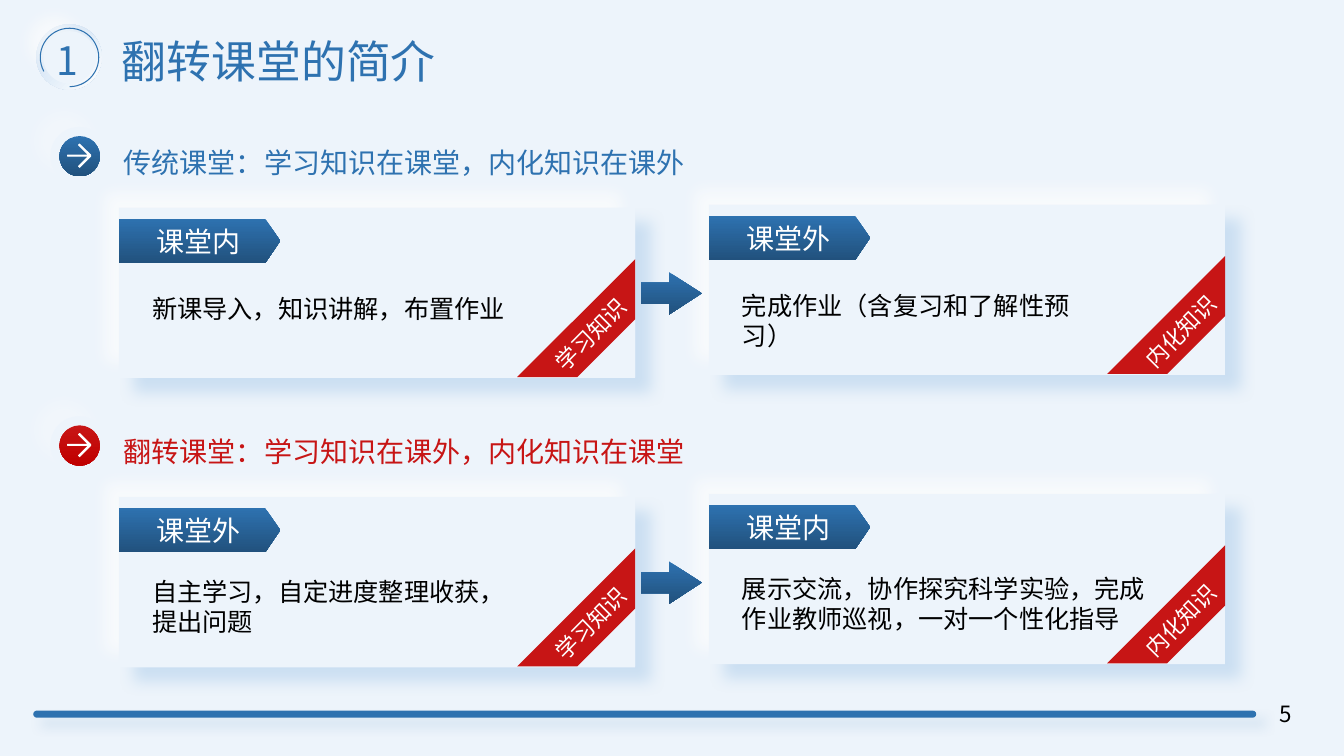
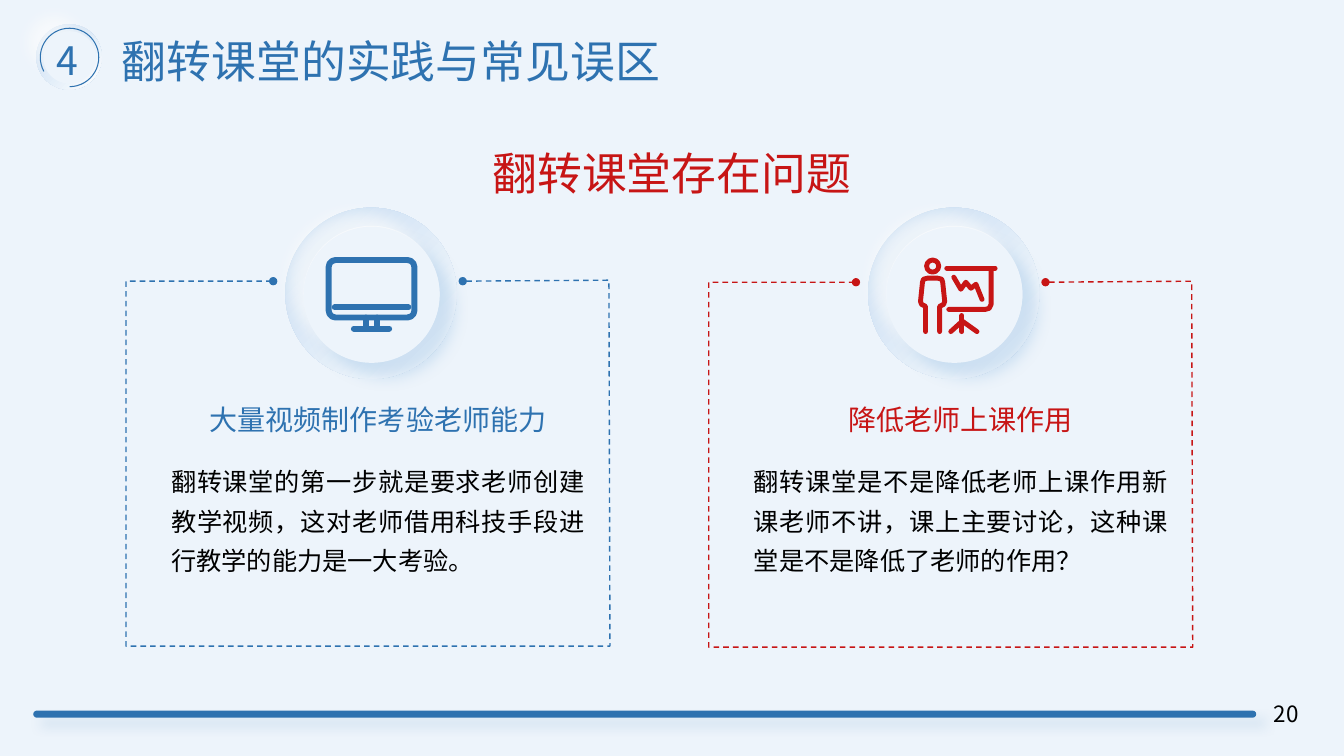
from lxml import etree
from pptx import Presentation
from pptx.dml.color import RGBColor
from pptx.enum.dml import MSO_LINE
from pptx.enum.shapes import MSO_CONNECTOR, MSO_SHAPE
from pptx.enum.text import MSO_ANCHOR, MSO_AUTO_SIZE, PP_ALIGN
from pptx.oxml.ns import qn
from pptx.util import Inches, Pt

LEFT, MID, JUST = PP_ALIGN.LEFT, PP_ALIGN.CENTER, PP_ALIGN.JUSTIFY
RECT, ROUND, OVAL = MSO_SHAPE.RECTANGLE, MSO_SHAPE.ROUNDED_RECTANGLE, MSO_SHAPE.OVAL
ARC, PLATE = MSO_SHAPE.ARC, MSO_SHAPE.PENTAGON
STRIPE, ARROW = MSO_SHAPE.DIAGONAL_STRIPE, MSO_SHAPE.RIGHT_ARROW
TOP, FIXED = MSO_ANCHOR.TOP, MSO_AUTO_SIZE.NONE
DASH, STRAIGHT = MSO_LINE.DASH, MSO_CONNECTOR.STRAIGHT

FONT = "Noto Sans CJK SC"
BLUE, RED, PALE = "2E72B0", "C71515", "EDF4FB"
BLACK, WHITE = "000000", "FFFFFF"
DEEP = (BLUE, "21517D", 270)
WARM = (RED, "C00000", 270)
RING = ("C1D9F1", WHITE, 315)
SHADE = ("9DC3E6", 41, 11, 15, 45)
LIGHT = (WHITE, 66, 12, 15, 225)
FAINT = (WHITE, 29, 12, 15, 225)
rgb = RGBColor.from_string


def paint(item, fill=None, line=None, width=1, glow=None):
    if isinstance(fill, tuple):
        item.fill.gradient()
        item.fill.gradient_angle = fill[2]
        for stop, hue in zip(item.fill.gradient_stops, fill):
            stop.color.rgb = rgb(hue)
    elif fill:
        item.fill.solid()
        item.fill.fore_color.rgb = rgb(fill)
    elif hasattr(item, "fill"):
        item.fill.background()
    if line:
        item.line.color.rgb = rgb(line)
        item.line.width = Pt(width)
        item.line._get_or_add_ln().set("cap", "rnd" if width > 1 else "flat")
    else:
        item.line.fill.background()
    effects = etree.SubElement(item._element.spPr, qn("a:effectLst"))
    if glow:
        hue, alpha, blur, far, angle = glow
        shade = etree.SubElement(
            effects, qn("a:outerShdw"), blurRad=str(Pt(blur)), dist=str(Pt(far)),
            dir=str(angle * 60000), algn="ctr", rotWithShape="0")
        tint = etree.SubElement(shade, qn("a:srgbClr"), val=hue)
        etree.SubElement(tint, qn("a:alpha"), val=str(alpha * 1000))
    return item


def write(item, text, size, hue, align=LEFT):
    frame = item.text_frame
    frame.word_wrap = True
    frame.auto_size = FIXED
    frame.vertical_anchor = TOP
    para = frame.paragraphs[0]
    para.alignment = align
    run = para.add_run()
    run.text = text
    run.font.size = Pt(size)
    run.font.color.rgb = rgb(hue)
    run.font.name = FONT
    etree.SubElement(run._r.get_or_add_rPr(), qn("a:ea"), typeface=FONT)
    return para


deck = Presentation()
deck.slide_width, deck.slide_height = Inches(13.33), Inches(7.5)
ground = deck.slide_master.background.fill
ground.solid()
ground.fore_color.rgb = rgb(PALE)
layout = deck.slide_layouts[5]
head = layout.placeholders[0]
head.left, head.top = Inches(1.11), Inches(0.28)
head.width, head.height = Inches(11), Inches(0.64)

slides = []
for title, part, page in [("翻转课堂的简介", "1", "5"), ("翻转课堂的实践与常见误区", "4", "20")]:
    slide = deck.slides.add_slide(layout)
    write(slide.shapes.title, title, 32, BLUE)
    for box, text, size, hue in [((0.37, 0.31, 0.6, 0.57), part, 28, BLUE),
                                 ((12.4, 6.9, 0.71, 0.4), page, 16, BLACK)]:
        write(slide.shapes.add_textbox(*map(Inches, box)), text, size, hue, MID)
    slides.append(slide.shapes)
first, second = slides

for kind, box, fill, line, glow, adjust in [
    (ROUND, (0.33, 7.05, 12.13, 0.07), BLUE, None, (BLUE, 16, 8, 8, 45), [0.5]),
    (OVAL, (0.36, 0.24, 0.65, 0.65), RING, None, None, []),
    (OVAL, (0.43, 0.31, 0.52, 0.52), PALE, None, LIGHT, []),
    (ARC, (0.4, 0.28, 0.58, 0.58), None, BLUE, None, [90.93, 53.98]),
]:
    item = first.add_shape(kind, *map(Inches, box))
    for at, value in enumerate(adjust):
        item.adjustments[at] = value
    paint(item, fill, line, 0.75, glow)
    layout.shapes._spTree.append(item._element)

rows = [
    ("传统课堂：学习知识在课堂，内化知识在课外", BLUE, DEEP, 0.81, [
        ("课堂内", "新课导入，知识讲解，布置作业", "学习知识", 3.72),
        ("课堂外", "完成作业（含复习和了解性预习）", "内化知识", 3.72)]),
    ("翻转课堂：学习知识在课外，内化知识在课堂", RED, WARM, 0.75, [
        ("课堂外", "自主学习，自定进度整理收获，提出问题", "学习知识", 3.72),
        ("课堂内", "展示交流，协作探究科学实验，完成作业教师巡视，一对一个性化指导",
         "内化知识", 4.32)]),
]
mark = [(0.9, 1.54), (0.79, 1.43), (0.78, 1.44), (0.88, 1.54), (0.67, 1.54),
        (0.67, 1.55), (0.88, 1.55), (0.78, 1.65), (0.79, 1.66), (0.9, 1.55)]
for row, (text, hue, fill, drop, cards) in enumerate(rows):
    down = row * 2.87
    box = first.add_textbox(Inches(1.13), Inches(1.39 + down), Inches(6.67), Inches(0.44))
    write(box, text, 20, hue)
    for x, y, side, shade, glow in [(0.5, 1.26, 0.57, PALE, FAINT), (0.59, 1.35, 0.4, fill, None)]:
        disc = first.add_shape(OVAL, Inches(x), Inches(y + down), Inches(side), Inches(side))
        paint(disc, shade, glow=glow)
    spots = [(Inches(x), Inches(y + down)) for x, y in mark]
    pen = first.build_freeform(*spots[0])
    pen.add_line_segments(spots[1:])
    paint(pen.convert_to_shape(), WHITE, WHITE, 0.75)

    for col, (tag, body, label, wide) in enumerate(cards):
        x, y = 1.18 + col * 5.85, 2.05 + down - col * 0.03
        for shift, glow in [(0, SHADE), (0.01, LIGHT)]:
            card = first.add_shape(RECT, Inches(x), Inches(y + shift), Inches(5.12), Inches(1.69))
            paint(card, PALE, glow=glow)
        plate = first.add_shape(PLATE, Inches(x), Inches(y + 0.12), Inches(1.6), Inches(0.44))
        plate.adjustments[0] = 0.34
        paint(plate, DEEP)
        box = first.add_textbox(Inches(x + 0.23), Inches(y + drop), Inches(wide), Inches(0.71))
        write(box, body, 18, BLACK)
        box = first.add_textbox(Inches(x + 0.23), Inches(y + 0.13), Inches(1.12), Inches(0.44))
        write(box, tag, 20, WHITE, MID)
        band = first.add_shape(STRIPE, Inches(x + 3.95), Inches(y + 0.52), Inches(1.17), Inches(1.17))
        band.adjustments[0] = 0.49
        band.rotation = 180
        paint(band, RED)
        box = first.add_textbox(Inches(x + 3.9), Inches(y + 1.08), Inches(1.56), Inches(0.37))
        box.rotation = 314.6
        write(box, label, 16, WHITE, MID)

    arrow = first.add_shape(ARROW, Inches(6.36), Inches(2.7 + down), Inches(0.6), Inches(0.42))
    arrow.adjustments[1] = 0.77
    paint(arrow, DEEP)

box = second.add_textbox(Inches(3.33), Inches(1.4), Inches(6.67), Inches(0.64))
write(box, "翻转课堂存在问题", 32, RED, MID)
panels = [
    (0, 0, BLUE, "大量视频制作考验老师能力",
     "翻转课堂的第一步就是要求老师创建教学视频，这对老师借用科技手段进行教学的能力是一大考验。"),
    (5.78, 0.01, RED, "降低老师上课作用",
     "翻转课堂是不是降低老师上课作用新课老师不讲，课上主要讨论，这种课堂是不是降低了老师的作用？"),
]
frame = [(4.59, 2.79), (6.04, 2.78), (6.05, 6.41), (1.25, 6.41), (1.25, 2.79), (2.71, 2.79)]
for over, down, hue, name, body in panels:
    for x, y, side, fill, glow in [(2.83, 2.06, 1.7, RING, None), (3.01, 2.24, 1.35, PALE, SHADE),
                                   (3.01, 2.25, 1.35, PALE, LIGHT)]:
        disc = second.add_shape(OVAL, Inches(x + over), Inches(y), Inches(side), Inches(side))
        paint(disc, fill, glow=glow)
    box = second.add_textbox(Inches(1.6 + over), Inches(3.94), Inches(4.3), Inches(0.44))
    write(box, name, 20, hue, MID)
    box = second.add_textbox(Inches(1.6 + over), Inches(4.49), Inches(4.3), Inches(1.26))
    write(box, body, 18, BLACK, JUST).line_spacing = 1.3
    spots = [(Inches(x + over), Inches(y + down)) for x, y in frame]
    pen = second.build_freeform(*spots[0])
    pen.add_line_segments(spots[1:], close=False)
    edge = paint(pen.convert_to_shape(), None, hue)
    edge.line.dash_style = DASH
    for end in ("a:headEnd", "a:tailEnd"):
        etree.SubElement(edge.line._get_or_add_ln(), qn(end), type="oval")

screen = second.add_shape(ROUND, Inches(3.26), Inches(2.58), Inches(0.85), Inches(0.57))
screen.adjustments[0] = 0.12
paint(screen, None, BLUE, 4.25)
face = second.add_shape(OVAL, Inches(9.19), Inches(2.58), Inches(0.12), Inches(0.12))
paint(face, None, RED, 3.5)

for hue, width, ends in [
    (BLUE, 4.25, [(3.51, 3.26, 3.86, 3.26), (3.63, 3.15, 3.63, 3.26),
                  (3.74, 3.15, 3.74, 3.26), (3.32, 3.05, 4.05, 3.05)]),
    (RED, 3.5, [(9.54, 3.13, 9.54, 3.29), (9.54, 3.19, 9.43, 3.29),
                (9.69, 3.29, 9.55, 3.19), (9.39, 2.66, 9.87, 2.66)]),
]:
    for end in ends:
        paint(second.add_connector(STRAIGHT, *map(Inches, end)), None, hue, width)

for points in [
    [(9.46, 2.75), (9.53, 2.87), (9.58, 2.8), (9.63, 2.86), (9.68, 2.82), (9.74, 2.97)],
    [(9.41, 3.07), (9.77, 3.07), (9.81, 3.06), (9.83, 3.02), (9.83, 2.67)],
    [(9.32, 3.29), (9.32, 3.04), (9.36, 3.02), (9.37, 2.99), (9.35, 2.8), (9.34, 2.77),
     (9.3, 2.76), (9.2, 2.76), (9.16, 2.77), (9.15, 2.8), (9.13, 2.99), (9.14, 3.02),
     (9.18, 3.04), (9.18, 3.29)],
]:
    spots = [(Inches(x), Inches(y)) for x, y in points]
    pen = second.build_freeform(*spots[0])
    pen.add_line_segments(spots[1:], close=False)
    paint(pen.convert_to_shape(), None, RED, 3.5)

deck.save("out.pptx")
